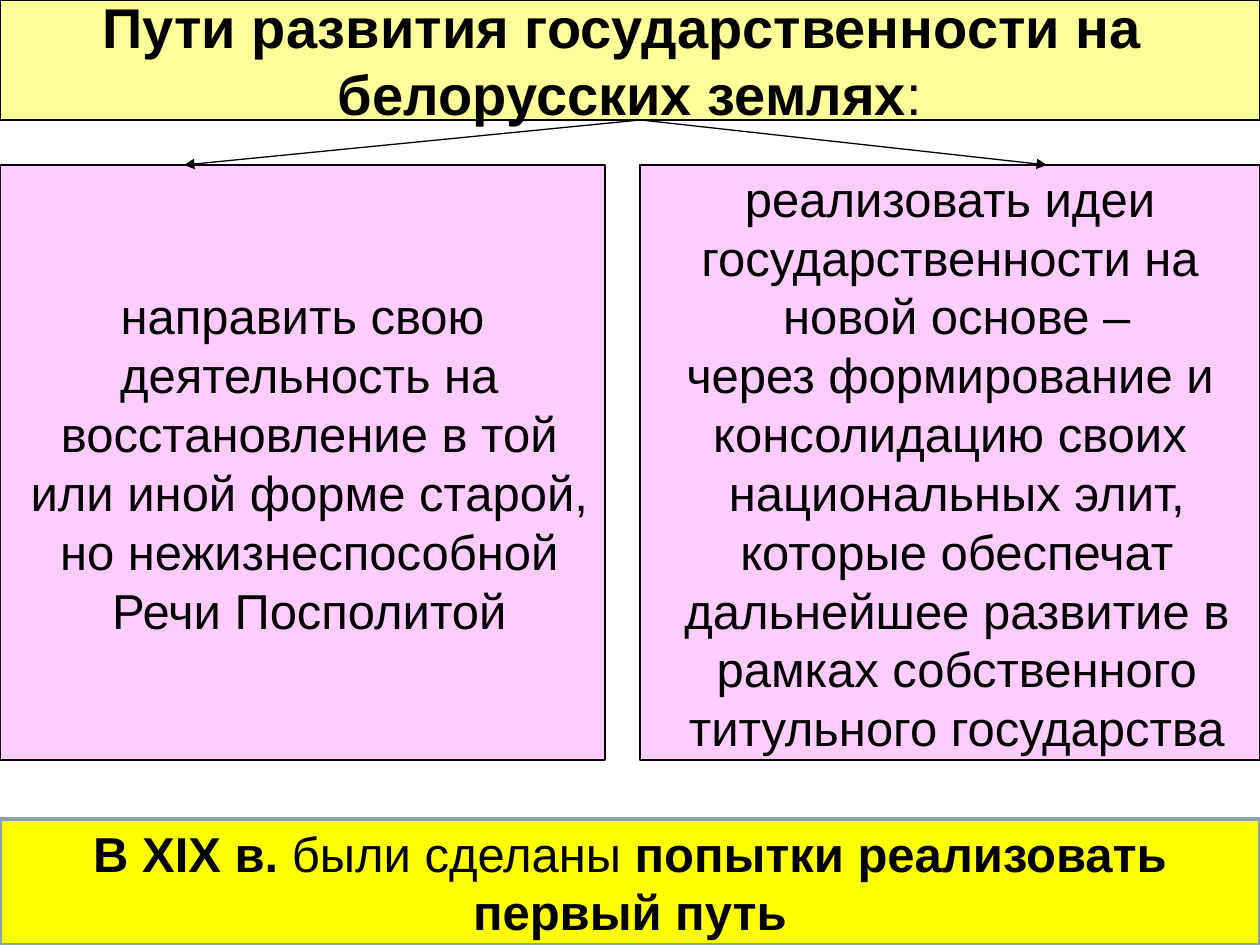
from lxml import etree
from pptx import Presentation
from pptx.dml.color import RGBColor
from pptx.enum.shapes import MSO_CONNECTOR, MSO_SHAPE
from pptx.enum.text import MSO_ANCHOR, MSO_AUTO_SIZE, PP_ALIGN
from pptx.oxml.ns import qn
from pptx.util import Emu, Pt

RECT = MSO_SHAPE.RECTANGLE
STRAIGHT = MSO_CONNECTOR.STRAIGHT
MIDDLE = MSO_ANCHOR.MIDDLE
NO_FIT = MSO_AUTO_SIZE.NONE
CENTER = PP_ALIGN.CENTER

WIDTH, HEIGHT = 1260, 945
TITLE_H = 120
PATH_TOP, PATH_H = 165, 595
CONCLUSION_TOP = 819
BLACK = "000000"
PINK = "FFCCFF"

TITLE = [
    [("Пути развития государственности на ", True)],
    [("белорусских землях", True), (":", False)],
]
RESTORE = [
    "направить свою",
    " деятельность на",
    " восстановление в той",
    " или иной форме старой,",
    " но нежизнеспособной",
    " Речи Посполитой",
]
RENEW = [
    "реализовать идеи",
    "государственности на",
    " новой основе ‒",
    " через формирование и ",
    "консолидацию своих",
    " национальных элит,",
    " которые обеспечат",
    " дальнейшее развитие в",
    " рамках собственного",
    " титульного государства",
]
CONCLUSION = [[
    ("В ХІХ в. ", True),
    ("были сделаны ", False),
    ("попытки реализовать первый путь", True),
]]
PATHS = [(0, 605, RESTORE, 640, 184), (640, 620, RENEW, 641, 1047)]


def px(n):
    return Emu(round(n * 914400 / 126))


def color(value):
    return RGBColor.from_string(value)


def write(tf, paragraphs, size=28, wrap=False):
    tf.auto_size = NO_FIT
    tf.word_wrap = wrap
    tf.vertical_anchor = MIDDLE
    for i, runs in enumerate(paragraphs):
        p = tf.add_paragraph() if i else tf.paragraphs[0]
        p.alignment = CENTER
        for text, bold in runs:
            r = p.add_run()
            r.text = text
            r.font.name = "Arial"
            r.font.size = Pt(size)
            r.font.bold = bold
            r.font.color.rgb = color(BLACK)


def paint(sp, fill, line=BLACK, weight=0.75):
    sp.fill.solid()
    sp.fill.fore_color.rgb = color(fill)
    sp.line.color.rgb = color(line)
    sp.line.width = Pt(weight)


def add_title(s, paragraphs):
    sp = s.shapes.title
    sp.left, sp.top = px(0), px(0)
    sp.width, sp.height = px(WIDTH), px(TITLE_H)
    paint(sp, "FFFF99")
    write(sp.text_frame, paragraphs, size=32)


def add_box(s, x, y, w, h, fill, paragraphs, wrap=False, **line):
    sp = s.shapes.add_shape(RECT, px(x), px(y), px(w), px(h))
    sp.shadow.inherit = False
    paint(sp, fill, **line)
    write(sp.text_frame, paragraphs, wrap=wrap)


def add_arrow(s, x1, y1, x2, y2):
    cn = s.shapes.add_connector(STRAIGHT, px(x1), px(y1), px(x2), px(y2))
    cn.line.color.rgb = color(BLACK)
    cn.line.width = Pt(0.75)
    ln = cn.line._get_or_add_ln()
    etree.SubElement(ln, qn("a:tailEnd"), type="triangle")
    etree.SubElement(ln.getparent(), qn("a:effectLst"))


def main():
    prs = Presentation()
    prs.slide_width, prs.slide_height = px(WIDTH), px(HEIGHT)
    s = prs.slides.add_slide(prs.slide_layouts[5])
    add_title(s, TITLE)
    for x, w, lines, start, end in PATHS:
        add_box(s, x, PATH_TOP, w, PATH_H, PINK, [[(t, False)] for t in lines])
        add_arrow(s, start, TITLE_H, end, PATH_TOP)
    add_box(s, 0, CONCLUSION_TOP, WIDTH, HEIGHT - CONCLUSION_TOP, "FFFF00",
            CONCLUSION, wrap=True, line="89A4A7", weight=2)
    prs.save("out.pptx")


if __name__ == "__main__":
    main()
